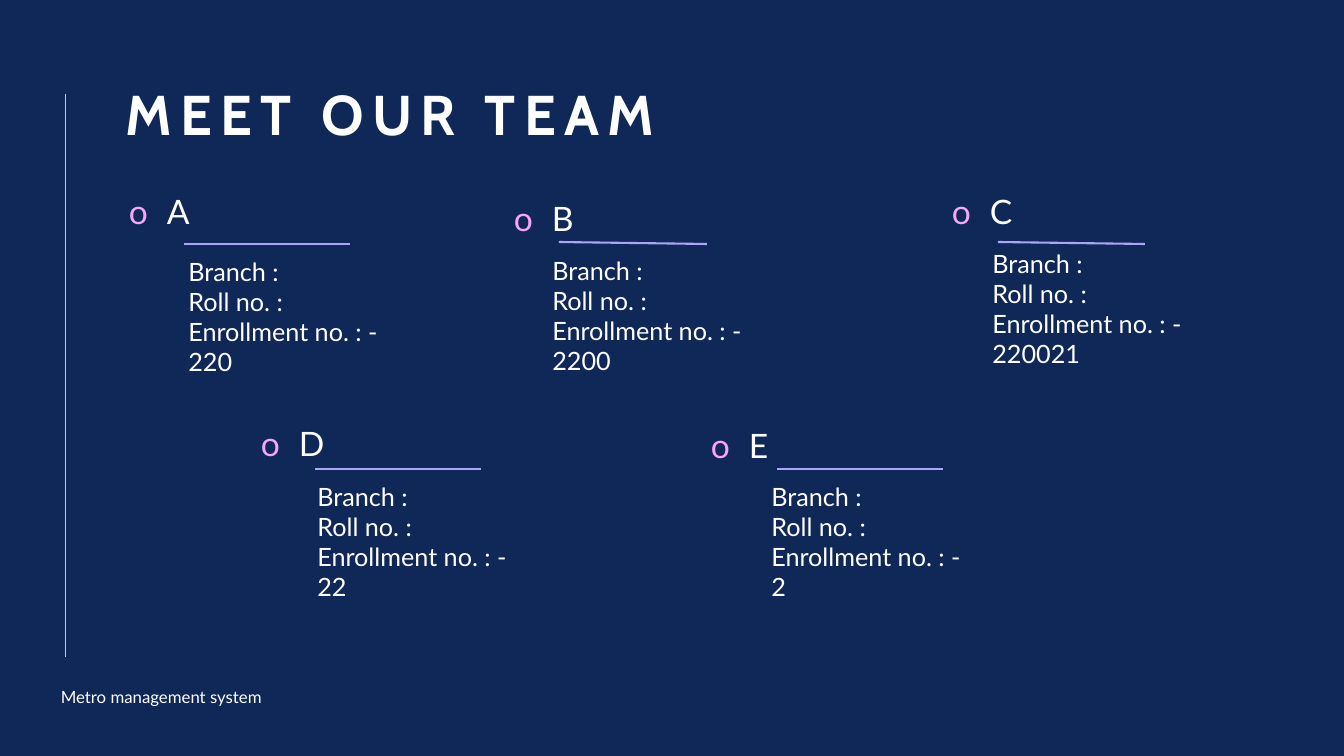
import pptx
import pptx.util
import pptx.dml.color
import pptx.enum.shapes
import pptx.enum.text
import pptx.oxml
import pptx.oxml.ns
import lxml.etree
from dataclasses import dataclass

PIXEL = 914400 / 100.8


@dataclass(frozen=True)
class Theme:
    background: str = "102857"
    text: str = "FFFFFF"
    pink: str = "F6A6F4"
    lilac: str = "AAA5F9"
    heading_font: str = "Cabin"
    body_font: str = "Lato"
    title_size: int = 40
    name_size: int = 24
    detail_size: int = 18
    footer_size: int = 12


theme = Theme()
qn = pptx.oxml.ns.qn


def emu(pixels):
    return pptx.util.Emu(round(pixels * PIXEL))


def add_text(box, lines, size, font=theme.body_font, anchor="TOP"):
    """Add a text box with one paragraph per line; return its first paragraph."""
    frame = slide.shapes.add_textbox(*map(emu, box)).text_frame
    frame.word_wrap = True
    frame.vertical_anchor = getattr(pptx.enum.text.MSO_ANCHOR, anchor)
    for index, line in enumerate(lines):
        paragraph = frame.add_paragraph() if index else frame.paragraphs[0]
        run = paragraph.add_run()
        run.text = line
        run.font.name = font
        run.font.size = pptx.util.Pt(size)
        run.font.color.rgb = pptx.dml.color.RGBColor.from_string(theme.text)
    return frame.paragraphs[0]


def add_line(start_x, start_y, end_x, end_y, color, width):
    line = slide.shapes.add_connector(
        pptx.enum.shapes.MSO_CONNECTOR.STRAIGHT,
        *map(emu, (start_x, start_y, end_x, end_y)))
    line.line.color.rgb = pptx.dml.color.RGBColor.from_string(color)
    line.line.width = pptx.util.Pt(width)
    lxml.etree.SubElement(line._element.spPr, qn("a:effectLst"))


presentation = pptx.Presentation()
presentation.slide_width = emu(1344)
presentation.slide_height = emu(756)
slide = presentation.slides.add_slide(presentation.slide_layouts[6])
slide.background.fill.solid()
slide.background.fill.fore_color.rgb = pptx.dml.color.RGBColor.from_string(theme.background)

# Side rule, footer and title
add_line(65, 94, 65, 657, theme.pink, 0.5)
add_text((51, 682, 257, 30), ["Metro management system"], theme.footer_size, anchor="MIDDLE")
title = add_text((116, 58, 979, 118), ["MEET OUR TEAM"], theme.title_size,
                 theme.heading_font, "MIDDLE")
title.line_spacing = 0.9
title.runs[0].font.bold = True
title.runs[0]._r.get_or_add_rPr().set("spc", "600")

# Team members: name, name position, details position, number, underline ends
members = [
    ("A", (81, 190), (172, 251), "220", (184, 244, 350, 244)),
    ("B", (466, 197), (536, 250), "2200", (559, 242, 707, 244)),
    ("C", (904, 190), (976, 243), "220021", (998, 242, 1145, 244)),
    ("D", (213, 422), (301, 476), "22", (315, 469, 481, 469)),
    ("E", (663, 424), (755, 476), "2", (777, 469, 943, 469)),
]
for name, name_position, details_position, number, underline in members:
    heading = add_text((*name_position, 335, 44), [name], theme.name_size)
    heading.line_spacing = 0.9
    heading.space_before = pptx.util.Pt(5)
    properties = heading._p.get_or_add_pPr()
    properties.set("marL", str(emu(76)))
    properties.set("indent", str(emu(-38)))
    bullet_color = lxml.etree.SubElement(properties, qn("a:buClr"))
    lxml.etree.SubElement(bullet_color, qn("a:srgbClr"), val=theme.pink)
    lxml.etree.SubElement(properties, qn("a:buFont"), typeface=theme.body_font)
    lxml.etree.SubElement(properties, qn("a:buChar"), char="o")

    details = [" Branch : ", " Roll no. :", " Enrollment no. : -", f" {number}"]
    add_text((*details_position, 272, 132), details, theme.detail_size)
    add_line(*underline, theme.lilac, 1.5)

presentation.save("out.pptx")
